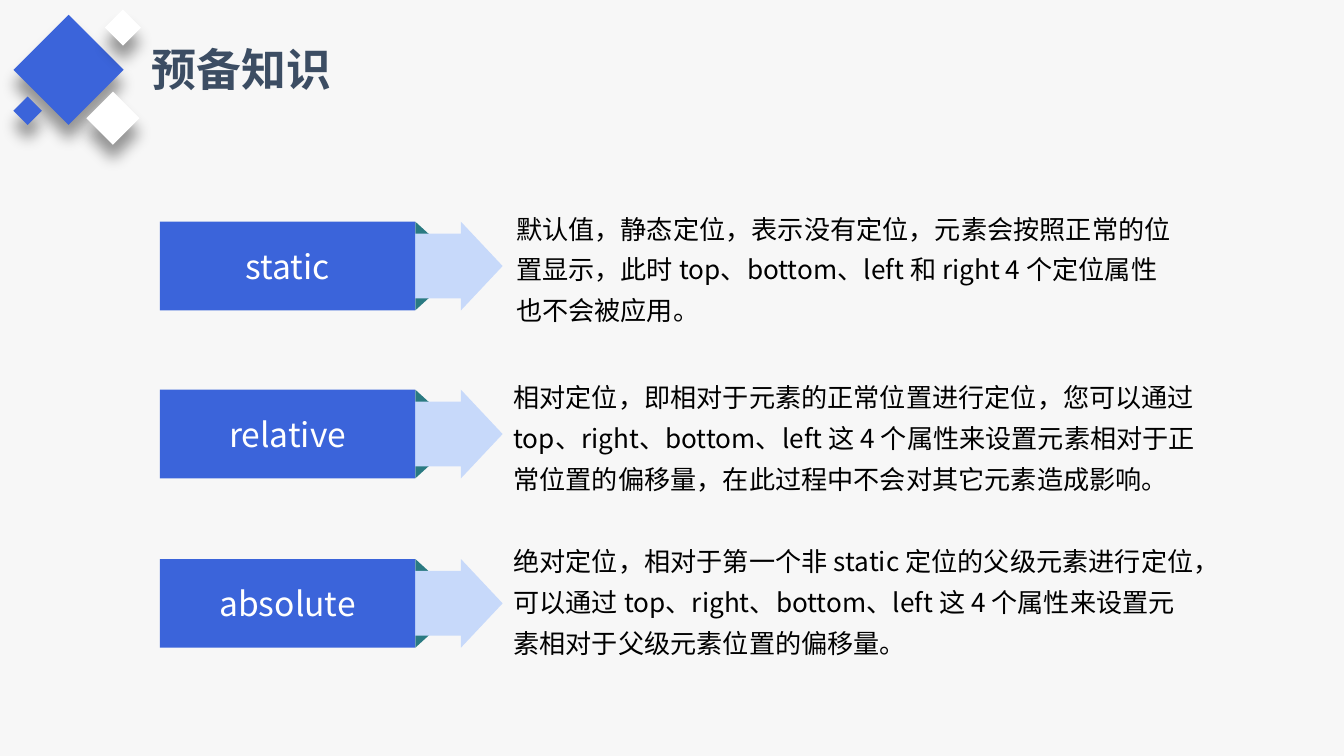
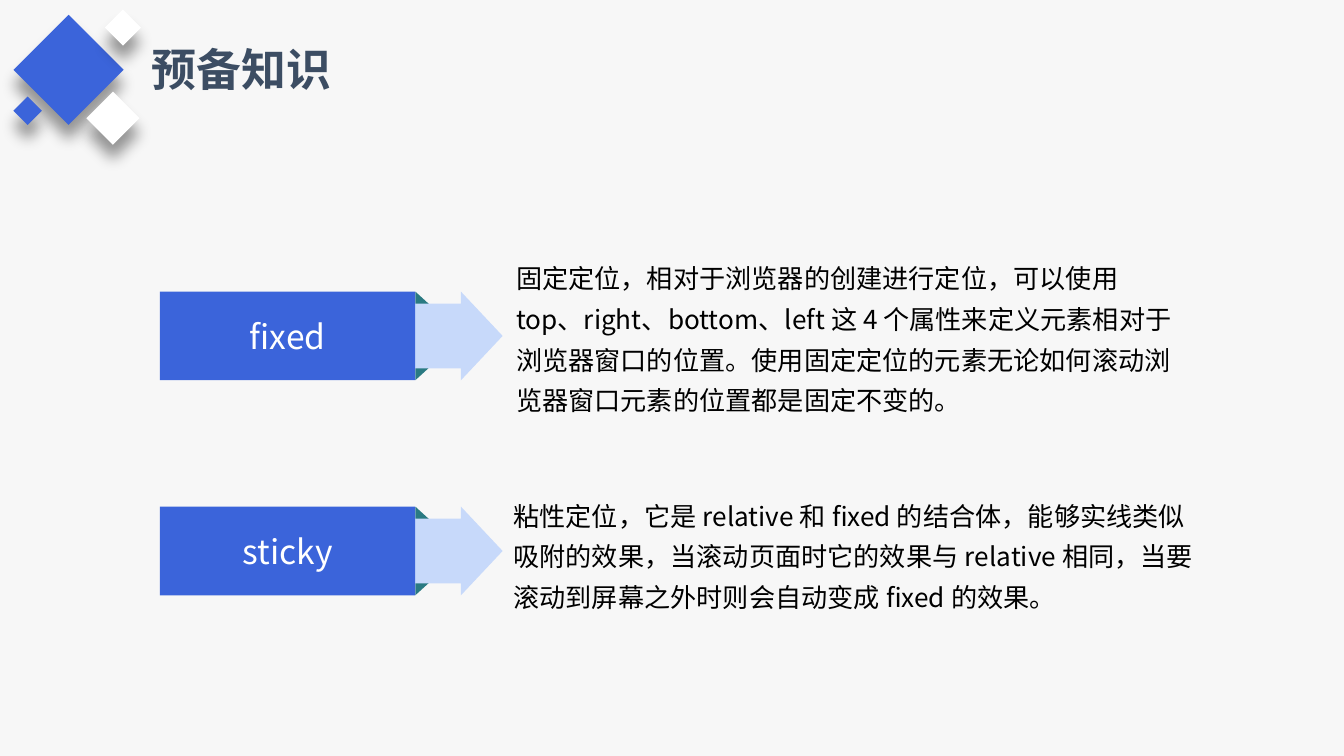
"""Builds two slides that explain the CSS position values."""
from lxml.etree import SubElement
from pptx import Presentation
from pptx.dml.color import RGBColor
from pptx.enum.shapes import MSO_SHAPE
from pptx.enum.text import MSO_ANCHOR, MSO_AUTO_SIZE, PP_ALIGN
from pptx.oxml.ns import qn
from pptx.util import Inches, Pt

FONT = "Noto Sans CJK SC"
BACKGROUND = RGBColor(0xF7, 0xF7, 0xF7)
BLUE = RGBColor(0x3B, 0x64, 0xDA)
PALE_BLUE = RGBColor(0xC7, 0xD9, 0xFA)
TEAL = RGBColor(0x2A, 0x7A, 0x82)
SLATE = RGBColor(0x3C, 0x4D, 0x63)
WHITE = RGBColor(0xFF, 0xFF, 0xFF)
BLACK = RGBColor(0x00, 0x00, 0x00)

TITLE = "预备知识"
DIAMONDS = [
    (0.22, 0.23, 0.58, BLUE),
    (0.7, 0.74, 0.28, WHITE),
    (0.82, 0.11, 0.19, WHITE),
    (0.13, 0.75, 0.15, BLUE),
]
LABEL_LEFT, LABEL_WIDTH, ROW_HEIGHT = 1.19, 1.9, 0.66
FOLD_WIDTH, FOLD_HEIGHT = 0.11, 0.1
WIDE_NOTE = (3.82, 5.11, 0.65)
FIRST_NOTE = (3.84, 4.96, 0.7)

SLIDES = [
    [
        (1.65, "static", 1.62, FIRST_NOTE,
         "默认值，静态定位，表示没有定位，元素会按照正常的位置显示，此时 top、bottom、left 和 right 4 个定位属性也不会被应用。"),
        (2.9, "relative", 2.9, WIDE_NOTE,
         "相对定位，即相对于元素的正常位置进行定位，您可以通过 top、right、bottom、left 这 4 个属性来设置元素相对于正常位置的偏移量，"
         "在此过程中不会对其它元素造成影响。"),
        (4.16, "absolute", 4.12, WIDE_NOTE,
         "绝对定位，相对于第一个非 static 定位的父级元素进行定位，可以通过 top、right、bottom、left 这 4 个属性来设置元素"
         "相对于父级元素位置的偏移量。"),
    ],
    [
        (2.17, "fixed", 2.14, FIRST_NOTE,
         "固定定位，相对于浏览器的创建进行定位，可以使用 top、right、bottom、left 这 4 个属性来定义元素相对于浏览器窗口的位置。"
         "使用固定定位的元素无论如何滚动浏览器窗口元素的位置都是固定不变的。"),
        (3.77, "sticky", 3.78, WIDE_NOTE,
         "粘性定位，它是 relative 和 fixed 的结合体，能够实线类似吸附的效果，当滚动页面时它的效果与 relative 相同，"
         "当要滚动到屏幕之外时则会自动变成 fixed 的效果。"),
    ],
]


def write_text(shape, text, *, size, color, bold=False, align=None,
               line_spacing=None, before=None, after=None):
    """Write one formatted paragraph into a shape."""
    paragraph = shape.text_frame.paragraphs[0]
    paragraph.alignment = align
    paragraph.line_spacing = line_spacing
    paragraph.space_before = before
    paragraph.space_after = after
    run = paragraph.add_run()
    run.text = text
    run.font.name = FONT
    run.font.size = Pt(size)
    run.font.bold = bold
    run.font.color.rgb = color
    SubElement(run.font._element, qn("a:ea"), typeface=FONT)


def center_in_frame(shape):
    """Wrap the text, remove the insets and centre it vertically."""
    frame = shape.text_frame
    frame.word_wrap = True
    frame.vertical_anchor = MSO_ANCHOR.MIDDLE
    frame.margin_left = frame.margin_right = 0
    frame.margin_top = frame.margin_bottom = 0


def add_filled(slide, kind, left, top, width, height, color):
    """Add a preset shape with a plain fill, no line and no shadow."""
    shape = slide.shapes.add_shape(
        kind, Inches(left), Inches(top), Inches(width), Inches(height))
    shape.shadow.inherit = False
    shape.fill.solid()
    shape.fill.fore_color.rgb = color
    shape.line.fill.background()
    return shape


def add_diamond(slide, left, top, side, color):
    """Add a square on its corner with a soft shadow below."""
    diamond = add_filled(slide, MSO_SHAPE.RECTANGLE, left, top, side, side, color)
    diamond.rotation = 45
    effects = diamond._element.spPr.find(qn("a:effectLst"))
    shadow = SubElement(effects, qn("a:outerShdw"), blurRad=str(Pt(8)),
                        dist=str(Pt(8)), dir="5400000", rotWithShape="0")
    shade = SubElement(shadow, qn("a:srgbClr"), val=str(BLACK))
    SubElement(shade, qn("a:alpha"), val="40000")


def add_title(slide):
    """Add the slide title and its cluster of diamonds."""
    title = slide.shapes.add_textbox(
        Inches(1.03), Inches(0.26), Inches(1.54), Inches(0.5))
    title.text_frame.word_wrap = False
    title.text_frame.auto_size = MSO_AUTO_SIZE.SHAPE_TO_FIT_TEXT
    write_text(title, TITLE, size=24, color=SLATE, bold=True)
    for diamond in DIAMONDS:
        add_diamond(slide, *diamond)


def add_ribbon(slide, top, name):
    """Add a label whose arrow passes through two folded corners."""
    label_right = LABEL_LEFT + LABEL_WIDTH
    fold_bottom = top + ROW_HEIGHT - FOLD_HEIGHT
    for fold_top, flipped in ((fold_bottom, True), (top, False)):
        fold = add_filled(slide, MSO_SHAPE.RIGHT_TRIANGLE, label_right,
                          fold_top, FOLD_WIDTH, FOLD_HEIGHT, TEAL)
        if flipped:
            fold._element.spPr.xfrm.set("flipV", "1")
    arrow = add_filled(slide, MSO_SHAPE.RIGHT_ARROW, 1.6, top, 2.14,
                       ROW_HEIGHT, PALE_BLUE)
    arrow.adjustments[0] = 0.73
    arrow.adjustments[1] = 0.47
    label = add_filled(slide, MSO_SHAPE.RECTANGLE, LABEL_LEFT, top,
                       LABEL_WIDTH, ROW_HEIGHT, BLUE)
    center_in_frame(label)
    write_text(label, name, size=18, color=WHITE, align=PP_ALIGN.CENTER)


def add_note(slide, top, place, text):
    """Add the explanation beside a ribbon."""
    left, width, height = place
    note = slide.shapes.add_textbox(
        Inches(left), Inches(top), Inches(width), Inches(height))
    center_in_frame(note)
    write_text(note, text, size=14, color=BLACK, line_spacing=1.3,
               before=Pt(6), after=Pt(12))


def main():
    """Build and save the presentation."""
    presentation = Presentation()
    presentation.slide_width = Inches(10)
    presentation.slide_height = Inches(10) * 9 // 16
    for rows in SLIDES:
        slide = presentation.slides.add_slide(presentation.slide_layouts[6])
        slide.background.fill.solid()
        slide.background.fill.fore_color.rgb = BACKGROUND
        add_title(slide)
        for top, name, note_top, note_place, text in rows:
            add_ribbon(slide, top, name)
            add_note(slide, note_top, note_place, text)
    presentation.save("out.pptx")


if __name__ == "__main__":
    main()
